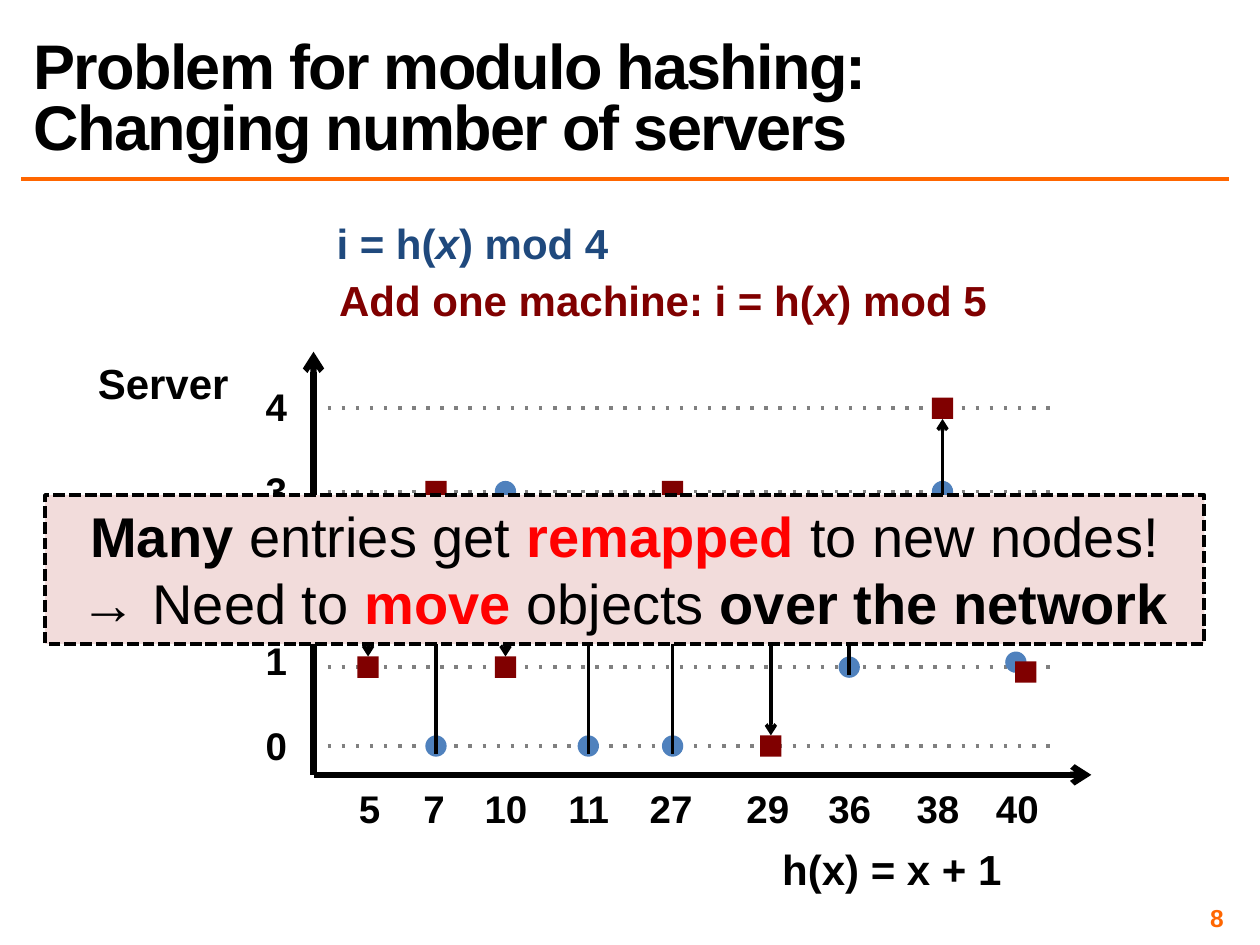
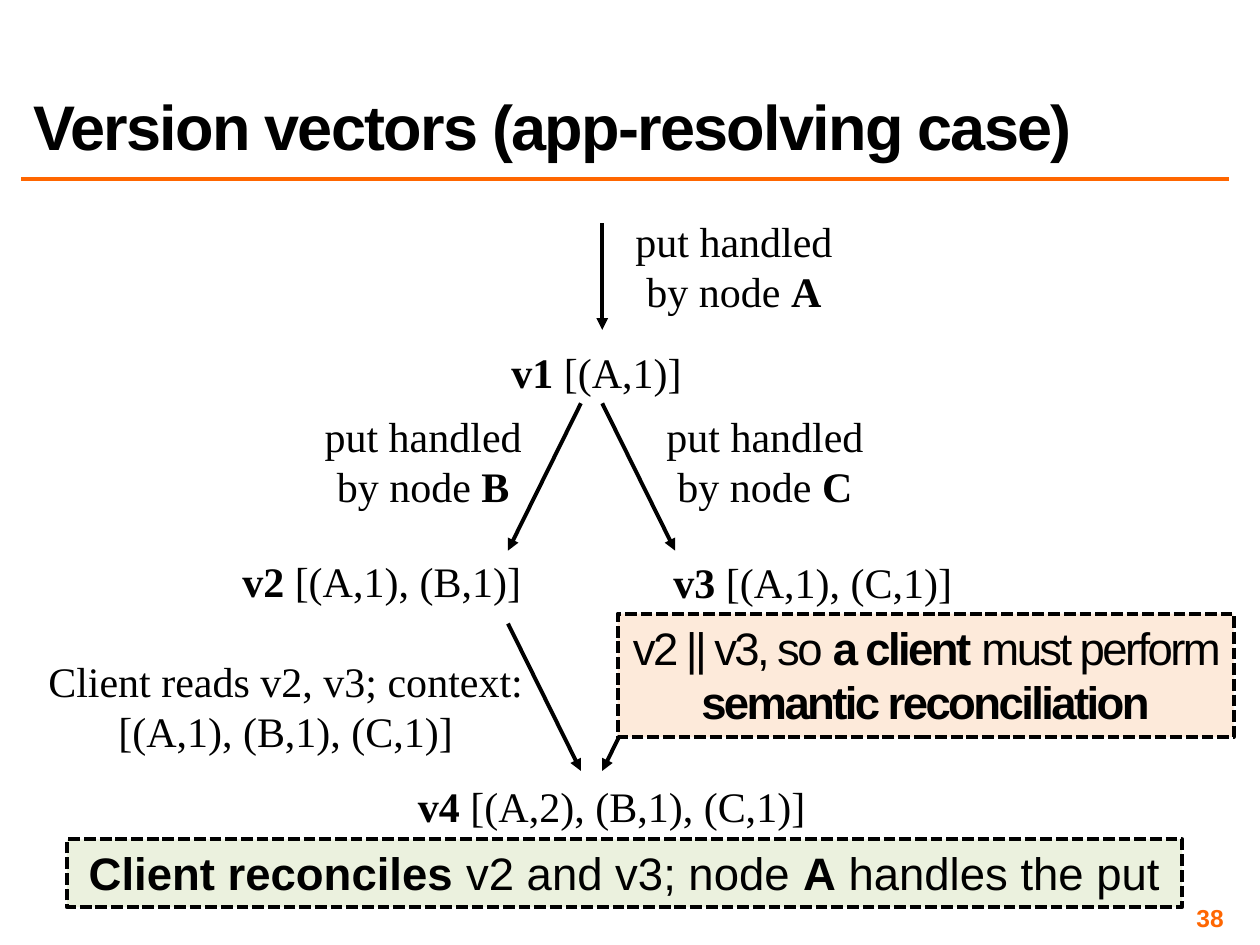
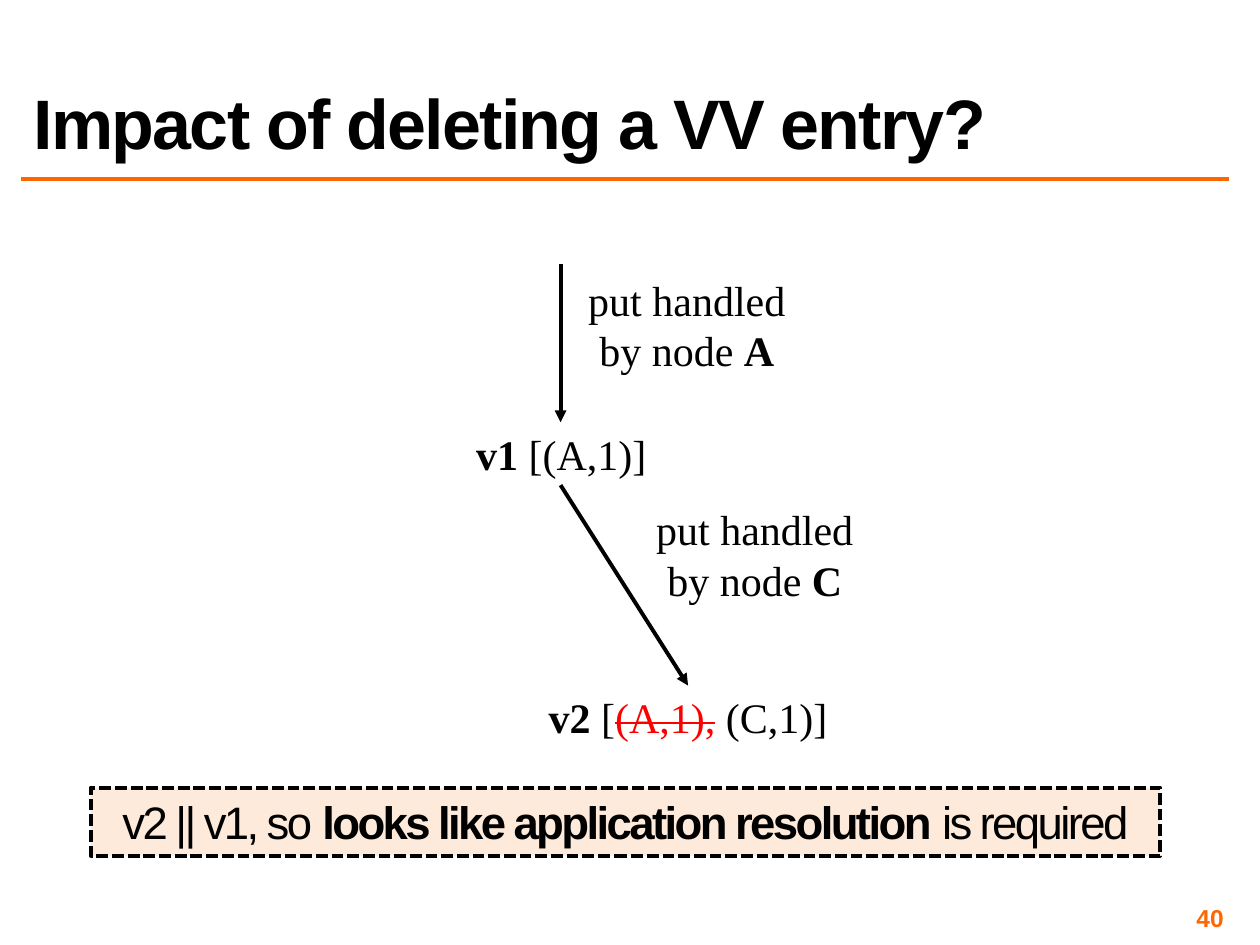
from dataclasses import dataclass

from lxml import etree
from pptx import Presentation
from pptx import util as u
from pptx.dml.color import RGBColor
from pptx.enum import shapes, text
from pptx.oxml.ns import qn

COLORS = {
    "black": "000000", "orange": "FF6600", "grey": "808080", "navy": "1F497D",
    "blue": "4F81BD", "maroon": "800000", "red": "FF0000",
    "pink": "F2DCDB", "peach": "FDEADA", "green": "EBF1DE",
}
SANS, SERIF = "Arial", "Times New Roman"
CENTER, LEFT, RIGHT = text.PP_ALIGN.CENTER, text.PP_ALIGN.LEFT, text.PP_ALIGN.RIGHT
TOP, MIDDLE, BOTTOM = (text.MSO_ANCHOR.TOP, text.MSO_ANCHOR.MIDDLE,
                       text.MSO_ANCHOR.BOTTOM)


@dataclass(frozen=True)
class Span:
    text: str
    bold: bool = False
    italic: bool = False
    color: str = "black"
    strike: bool = False


@dataclass(frozen=True)
class Style:
    size: float = 24
    font: str = SANS
    align: int = CENTER
    anchor: int = TOP
    wrap: bool = True
    tracking: float = 0
    leading: float = 1.0


@dataclass(frozen=True)
class Area:
    left: float
    top: float
    width: float
    height: float = 1.27

    def lengths(self) -> list:
        return [u.Cm(v) for v in (self.left, self.top, self.width, self.height)]


@dataclass(frozen=True)
class Stroke:
    color: str = "black"
    width: float = 2.25
    dash: str = ""
    head: str = ""


@dataclass(frozen=True)
class HashKey:
    value: int
    x: float
    label_x: float


BODY = Style(font=SERIF)
FREE = Style(wrap=False)
TICK = Style(size=22, wrap=False)
FLOW = Stroke(head="triangle")
MOVE = Stroke(width=2, head="arrow")
AXIS = Stroke(width=3.5, head="arrow")
GUIDE = Stroke("grey", 2, dash="dot")
FRAME = Stroke(dash="sysDash")


# Shared drawing
def rgb(name: str) -> RGBColor:
    return RGBColor.from_string(COLORS[name])


def write(shape, paragraphs: list, style: Style) -> None:
    frame = shape.text_frame
    frame.word_wrap = style.wrap
    frame.vertical_anchor = style.anchor
    for index, spans in enumerate(paragraphs):
        para = frame.paragraphs[0] if index == 0 else frame.add_paragraph()
        para.alignment = style.align
        para.line_spacing = style.leading
        for part in spans:
            for row, words in enumerate(part.text.split("\n")):
                if row:
                    para.add_line_break()
                span = para.add_run()
                span.text = words
                font = span.font
                font.name, font.size = style.font, u.Pt(style.size)
                font.bold, font.italic = part.bold, part.italic
                font.color.rgb = rgb(part.color)
                properties = span._r.get_or_add_rPr()
                if style.tracking:
                    properties.set("spc", str(int(style.tracking * 100)))
                if part.strike:
                    properties.set("strike", "sngStrike")


def add_text(page, area: Area, spans: list, style: Style):
    box = page.shapes.add_textbox(*area.lengths())
    write(box, [spans], style)
    return box


def draw_stroke(shape, stroke: Stroke) -> None:
    shape.line.color.rgb = rgb(stroke.color)
    shape.line.width = u.Pt(stroke.width)
    outline = shape._element.spPr.find(qn("a:ln"))
    if stroke.dash:
        etree.SubElement(outline, qn("a:prstDash")).set("val", stroke.dash)
    if stroke.head:
        etree.SubElement(outline, qn("a:tailEnd")).set("type", stroke.head)


def add_line(page, x1: float, y1: float, x2: float, y2: float,
             stroke: Stroke) -> None:
    line = page.shapes.add_connector(shapes.MSO_CONNECTOR.STRAIGHT,
                                     u.Cm(x1), u.Cm(y1), u.Cm(x2), u.Cm(y2))
    draw_stroke(line, stroke)
    etree.SubElement(line._element.spPr, qn("a:effectLst"))


def add_solid(page, kind, area: Area, color: str):
    shape = page.shapes.add_shape(kind, *area.lengths())
    shape.shadow.inherit = False
    shape.fill.solid()
    shape.fill.fore_color.rgb = rgb(color)
    shape.line.fill.background()
    return shape


def add_callout(page, area: Area, color: str, paragraphs: list,
                style: Style) -> None:
    box = add_solid(page, shapes.MSO_SHAPE.RECTANGLE, area, color)
    draw_stroke(box, FRAME)
    write(box, paragraphs, style)


def add_page(deck, title: str, number: int, title_size: float = 36):
    page = deck.slides.add_slide(deck.slide_layouts[6])
    add_line(page, 0.43, 3.61, 24.77, 3.61, Stroke("orange", 2))
    add_text(page, Area(0.43, 0.43, 24.33, 2.97), [Span(title, bold=True)],
             Style(title_size, align=LEFT, anchor=BOTTOM, tracking=-1, leading=0.8))
    footer = add_text(page, Area(18.85, 18.21, 5.92, 0.58),
                      [Span(str(number), bold=True, color="orange")],
                      Style(14, align=RIGHT, anchor=MIDDLE))
    frame = footer.text_frame
    frame.margin_left = frame.margin_right = u.Cm(0.1)
    frame.margin_top = frame.margin_bottom = u.Cm(0.1)
    return page


# Hashing plot
KEYS = [
    HashKey(5, 7.42, 7.45), HashKey(7, 8.79, 8.75), HashKey(10, 10.19, 10.2),
    HashKey(11, 11.86, 11.87), HashKey(27, 13.56, 13.53),
    HashKey(29, 15.54, 15.48), HashKey(36, 17.12, 17.13),
    HashKey(38, 19, 18.91), HashKey(40, 20.58, 20.51),
]
SERVER_Y = {0: 15.04, 1: 13.45, 2: 11.68, 3: 9.91, 4: 8.23}
COVERED_SERVER = 2  # this row lies under the callout
ORIGIN_X, ORIGIN_Y = 6.32, 15.62
MARKER = 0.43


def add_tick(page, value: int, x: float, y: float) -> None:
    add_text(page, Area(x - 0.7, y - 0.6, 1.4, 1.2),
             [Span(str(value), bold=True)], TICK)


def add_markers(page, kind, color: str, servers: int, shift: float) -> None:
    for key in KEYS:
        server = (key.value + 1) % servers
        if server == COVERED_SERVER:
            continue
        stays = (key.value + 1) % 4 == (key.value + 1) % 5
        offset = (shift if stays else 0) - MARKER / 2
        add_solid(page, kind, Area(key.x + offset, SERVER_Y[server] + offset,
                                   MARKER, MARKER), color)


def add_moves(page) -> None:
    for key in KEYS:
        before, after = (key.value + 1) % 4, (key.value + 1) % 5
        if before == after:
            continue
        start, end = SERVER_Y[before], SERVER_Y[after]
        if after > before:
            start, end = start + 0.15, end + MARKER / 2
        else:
            start, end = start + 0.58, end - MARKER / 2
        add_line(page, key.x, start, key.x, end, MOVE)


def add_formula(page, area: Area, lead: str, servers: int, color: str) -> None:
    add_text(page, area, [Span(lead, True, color=color),
                          Span("x", True, True, color),
                          Span(f") mod {servers}", True, color=color)], FREE)


def build_hashing(deck) -> None:
    page = add_page(deck, "Problem for modulo hashing:\nChanging number of servers", 8)
    # Grid, axes and labels
    for server, y in SERVER_Y.items():
        if server != COVERED_SERVER:
            add_line(page, ORIGIN_X, y, 21.16, y, GUIDE)
            add_tick(page, server, 5.57, 15.03 - 1.71 * server)
    add_line(page, ORIGIN_X, ORIGIN_Y, 22, ORIGIN_Y, AXIS)
    add_line(page, ORIGIN_X, ORIGIN_Y, ORIGIN_X, 7.09, AXIS)
    for key in KEYS:
        add_tick(page, key.value, key.label_x, 16.3)
    add_text(page, Area(1.7, 7.09, 3.18), [Span("Server", True)], FREE)
    add_text(page, Area(15.49, 16.87, 4.98), [Span("h(x) = x + 1", True)], FREE)
    add_formula(page, Area(6.5, 4.27, 6.05), "i = h(", 4, "navy")
    add_formula(page, Area(6.38, 5.41, 13.97), "Add one machine: i = h(", 5, "maroon")
    # Placements before and after the change
    add_markers(page, shapes.MSO_SHAPE.OVAL, "blue", 4, -0.1)
    add_markers(page, shapes.MSO_SHAPE.RECTANGLE, "maroon", 5, 0.1)
    add_moves(page)
    add_callout(page, Area(0.91, 9.98, 23.37, 3), "pink", [
        [Span("Many", True), Span(" entries get "),
         Span("remapped ", True, color="red"), Span("to new nodes!")],
        [Span("→ Need to "), Span("move ", True, color="red"),
         Span("objects "), Span("over the network", True)],
    ], Style(32))


# Version graphs
def add_version(page, area: Area, name: str, *vector: Span) -> None:
    add_text(page, area, [Span(name, True), *vector], BODY)


def add_put(page, left: float, top: float, width: float, node: str) -> None:
    add_text(page, Area(left, top, width, 2.31),
             [Span("put handled by node "), Span(node, True)], BODY)


def build_resolving(deck) -> None:
    page = add_page(deck, "Version vectors (app-resolving case)", 38)
    # Arrows
    add_line(page, 12.14, 4.5, 12.14, 6.65, FLOW)
    for inner, outer in ((11.71, 10.24), (12.14, 13.61)):
        add_line(page, inner, 8.13, outer, 11.1, FLOW)
    for outer, inner in ((10.24, 11.71), (13.61, 12.14)):
        add_line(page, outer, 12.57, inner, 15.54, FLOW)
    # Versions and the puts between them
    add_version(page, Area(9.8, 6.86, 4.45), "v1", Span(" [(A,1)]"))
    add_version(page, Area(4.52, 11.07, 6.35), "v2", Span(" [(A,1), (B,1)]"))
    add_version(page, Area(13.21, 11.1, 6.35), "v3", Span(" [(A,1), (C,1)]"))
    add_version(page, Area(8.1, 15.6, 8.46), "v4", Span(" [(A,2), (B,1), (C,1)]"))
    add_put(page, 12.14, 4.22, 5.31, "A")
    add_put(page, 5.99, 8.15, 5.08, "B")
    add_put(page, 12.78, 8.15, 5.28, "C")
    add_text(page, Area(0.64, 13.08, 10.24, 2.31),
             [Span("Client reads v2, v3; context: [(A,1), (B,1), (C,1)]")], BODY)
    # Callouts
    add_callout(page, Area(12.45, 12.37, 12.42, 2.49), "peach", [[
        Span("v2 || v3, so "), Span("a client ", True), Span("must perform "),
        Span("semantic reconciliation", True)]], Style(26, tracking=-1.5))
    add_callout(page, Area(1.35, 16.92, 22.48, 1.37), "green", [[
        Span("Client reconciles ", True), Span("v2 and v3; node "),
        Span("A", True), Span(" handles the put")]], Style(26))


def build_deleting(deck) -> None:
    page = add_page(deck, "Impact of deleting a VV entry?", 40, 40)
    add_line(page, 11.3, 5.33, 11.3, 8.51, FLOW)
    add_line(page, 11.3, 9.78, 13.87, 13.82, FLOW)
    add_version(page, Area(9.09, 8.51, 4.45), "v1", Span(" [(A,1)]"))
    add_version(page, Area(10.01, 13.82, 7.72), "v2", Span(" ["),
                Span("(A,1),", color="red", strike=True), Span(" (C,1)]"))
    add_put(page, 11.33, 5.41, 5.03, "A")
    add_put(page, 12.7, 10.03, 5.03, "C")
    add_callout(page, Area(1.83, 15.88, 21.56, 1.37), "peach", [[
        Span("v2 || v1, so "), Span("looks like application resolution ", True),
        Span("is required")]], Style(26, tracking=-1.5))


def main() -> None:
    deck = Presentation()
    deck.slide_width, deck.slide_height = u.Cm(25.4), u.Cm(19.05)
    build_hashing(deck)
    build_resolving(deck)
    build_deleting(deck)
    deck.save("out.pptx")


if __name__ == "__main__":
    main()
